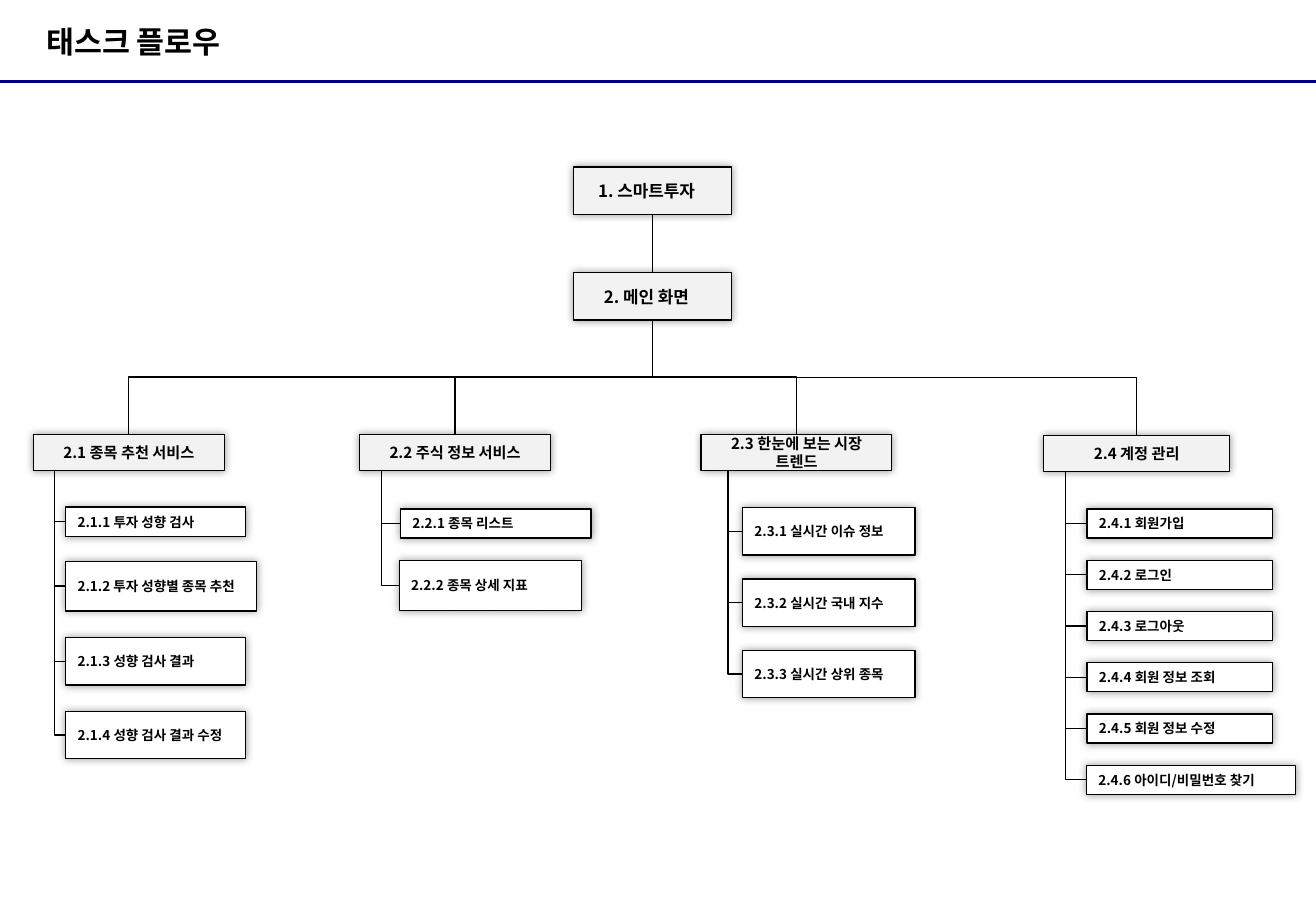
from collections import namedtuple
from dataclasses import dataclass

from lxml import etree
from pptx import Presentation
from pptx.dml.color import RGBColor
from pptx.enum.shapes import MSO_CONNECTOR, MSO_SHAPE
from pptx.enum.text import MSO_ANCHOR, MSO_AUTO_SIZE, PP_ALIGN
from pptx.oxml.ns import qn
from pptx.util import Inches, Pt

STRAIGHT, ELBOW = MSO_CONNECTOR.STRAIGHT, MSO_CONNECTOR.ELBOW
RECTANGLE = MSO_SHAPE.RECTANGLE
MIDDLE = MSO_ANCHOR.MIDDLE
NO_FIT = MSO_AUTO_SIZE.NONE
LEFT, CENTER = PP_ALIGN.LEFT, PP_ALIGN.CENTER
TOP_SIDE, BOTTOM_SIDE = 0, 2
ONE_BEND, TWO_BENDS = "bentConnector2", "bentConnector3"
QUARTER_TURN = 90 * 60000

COLUMNS, ROWS = 108.3, 75
CELL = Inches(0.1)

Box = namedtuple("Box", "left top width height")
Screen = namedtuple("Screen", "label top width height shift", defaults=[0])
Branch = namedtuple("Branch", "label box spine indent screens")


@dataclass(frozen=True)
class Theme:
    ink: RGBColor = RGBColor(0, 0, 0)
    rule: RGBColor = RGBColor(0, 0, 0x80)
    service: RGBColor = RGBColor(0xF2, 0xF2, 0xF2)
    screen: RGBColor = RGBColor(0xFF, 0xFF, 0xFF)
    title_font: str = "Arial"
    body_font: str = "Noto Sans CJK KR"
    title_size: float = 18
    root_size: float = 10
    service_size: float = 9
    screen_size: float = 8
    thin: float = 0.75
    thick: float = 2.25


THEME = Theme()


def even_screens(labels, top, pitch, width, height):
    return [Screen(label, top + i * pitch, width, height)
            for i, label in enumerate(labels)]


ROOTS = [
    ("1. 스마트투자", Box(47.2, 13.75, 13, 3.9)),
    ("2. 메인 화면", Box(47.2, 22.45, 13, 3.9)),
]

BRANCHES = [
    Branch("2.1 종목 추천 서비스", Box(2.75, 35.75, 15.7, 3), 1.75, 2.65, [
        Screen("2.1.1 투자 성향 검사", 6, 14.8, 2.4),
        Screen("2.1.2 투자 성향별 종목 추천", 10.45, 15.7, 4.1),
        Screen("2.1.3 성향 검사 결과", 16.75, 14.8, 3.9),
        Screen("2.1.4 성향 검사 결과 수정", 22.8, 14.8, 3.9),
    ]),
    Branch("2.2 주식 정보 서비스", Box(29.6, 35.75, 15.7, 3), 1.8, 3.35, [
        Screen("2.2.1 종목 리스트", 6.15, 15.7, 2.4),
        Screen("2.2.2 종목 상세 지표", 10.4, 15, 4.1, -0.1),
    ]),
    Branch("2.3 한눈에 보는 시장 트렌드", Box(57.7, 35.75, 15.7, 3), 2.2, 3.4,
           even_screens(["2.3.1 실시간 이슈 정보", "2.3.2 실시간 국내 지수",
                         "2.3.3 실시간 상위 종목"], 6.05, 5.87, 14.2, 3.9)),
    Branch("2.4 계정 관리", Box(85.9, 35.85, 15.3, 3), 1.8, 3.55,
           even_screens(["2.4.1 회원가입", "2.4.2 로그인", "2.4.3 로그아웃",
                         "2.4.4 회원 정보 조회", "2.4.5 회원 정보 수정"],
                        6.05, 4.22, 15.3, 2.4)
           + [Screen("2.4.6 아이디/비밀번호 찾기", 27.15, 17.2, 2.4, -0.05)]),
]


def cells(count):
    return round(count * CELL)


def write(holder, text, *, size, font=THEME.body_font, align=LEFT,
          insets=(1, 0.5, 1, 0.5)):
    frame = holder.text_frame
    frame.word_wrap = True
    frame.auto_size = NO_FIT
    frame.vertical_anchor = MIDDLE
    (frame.margin_left, frame.margin_top,
     frame.margin_right, frame.margin_bottom) = map(cells, insets)
    paragraph = frame.paragraphs[0]
    paragraph.alignment = align
    run = paragraph.add_run()
    run.text = text
    run.font.size = Pt(size)
    run.font.bold = True
    run.font.name = font
    run.font.color.rgb = THEME.ink
    if font == THEME.body_font:
        etree.SubElement(run.font._element, qn("a:ea"), typeface=font)


def add_glow(shape):
    shape.shadow.inherit = False
    effects = shape._element.spPr.find(qn("a:effectLst"))
    shadow = etree.SubElement(effects, qn("a:outerShdw"), blurRad=str(Pt(5)),
                              dist="0", dir="0", algn="ctr", rotWithShape="0")
    color = etree.SubElement(shadow, qn("a:srgbClr"), val=str(THEME.ink))
    etree.SubElement(color, qn("a:alpha"), val="40000")


def add_node(slide, box, label, fill, **text_format):
    node = slide.shapes.add_shape(RECTANGLE, *map(cells, box))
    node.fill.solid()
    node.fill.fore_color.rgb = fill
    node.line.color.rgb = THEME.ink
    node.line.width = Pt(THEME.thin)
    add_glow(node)
    write(node, label, **text_format)
    return node


def add_line(slide, start, end, kind=STRAIGHT, color=THEME.ink, width=THEME.thin):
    line = slide.shapes.add_connector(kind, *map(cells, (*start, *end)))
    line.line.color.rgb = color
    line.line.width = Pt(width)
    etree.SubElement(line._element.spPr, qn("a:effectLst"))
    return line


def add_elbow(slide, start, end, bends):
    (x1, y1), (x2, y2) = start, end
    x, y = (x1 + x2) / 2, (y1 + y2) / 2
    half_run, half_rise = abs(y2 - y1) / 2, abs(x2 - x1) / 2
    elbow = add_line(slide, (x - half_run, y - half_rise),
                     (x + half_run, y + half_rise), ELBOW)
    properties = elbow._element.spPr
    frame = properties.find(qn("a:xfrm"))
    if x2 > x1:
        frame.set("rot", str(3 * QUARTER_TURN))
        frame.set("flipH", "1")
    else:
        frame.set("rot", str(QUARTER_TURN))
    properties.find(qn("a:prstGeom")).set("prst", bends)


def draw_heading(slide, box, text):
    title = slide.shapes.title
    title.left, title.top, title.width, title.height = map(cells, box)
    write(title, text, size=THEME.title_size, font=THEME.title_font,
          insets=(0, 0, 0, 0))
    rule_row = box.top + box.height - 0.08
    add_line(slide, (0, rule_row), (COLUMNS, rule_row),
             color=THEME.rule, width=THEME.thick)


def draw_roots(slide):
    start, main_screen = [
        add_node(slide, box, label, THEME.service, size=THEME.root_size,
                 align=CENTER, insets=(0.3, 0.5, 1.3, 0.5))
        for label, box in ROOTS
    ]
    link = add_line(slide, (0, 0), (1, 1))
    link.begin_connect(start, BOTTOM_SIDE)
    link.end_connect(main_screen, TOP_SIDE)


def draw_branch(slide, box, branch):
    add_node(slide, box, branch.label, THEME.service,
             size=THEME.service_size, align=CENTER)
    spine_top = (box.left + branch.spine, box.top + box.height)
    for screen in branch.screens:
        screen_box = Box(box.left + branch.indent + screen.shift,
                         box.top + screen.top, screen.width, screen.height)
        add_node(slide, screen_box, screen.label, THEME.screen,
                 size=THEME.screen_size)
        entry = (screen_box.left, screen_box.top + screen_box.height / 2)
        add_elbow(slide, spine_top, entry, ONE_BEND)


def draw_bus(slide, source, targets):
    trunk = (source.left + source.width / 2, source.top + source.height)
    for box in targets:
        add_elbow(slide, trunk, (box.left + box.width / 2, box.top), TWO_BENDS)


def main():
    deck = Presentation()
    deck.slide_width, deck.slide_height = cells(COLUMNS), cells(ROWS)
    slide = deck.slides.add_slide(deck.slide_layouts[5])
    draw_heading(slide, Box(3.8, 0, 70.8, 6.8), "태스크 플로우")
    draw_roots(slide)
    for branch in BRANCHES:
        draw_branch(slide, branch.box, branch)
    draw_bus(slide, ROOTS[-1][1], [branch.box for branch in BRANCHES])
    deck.save("out.pptx")


if __name__ == "__main__":
    main()
